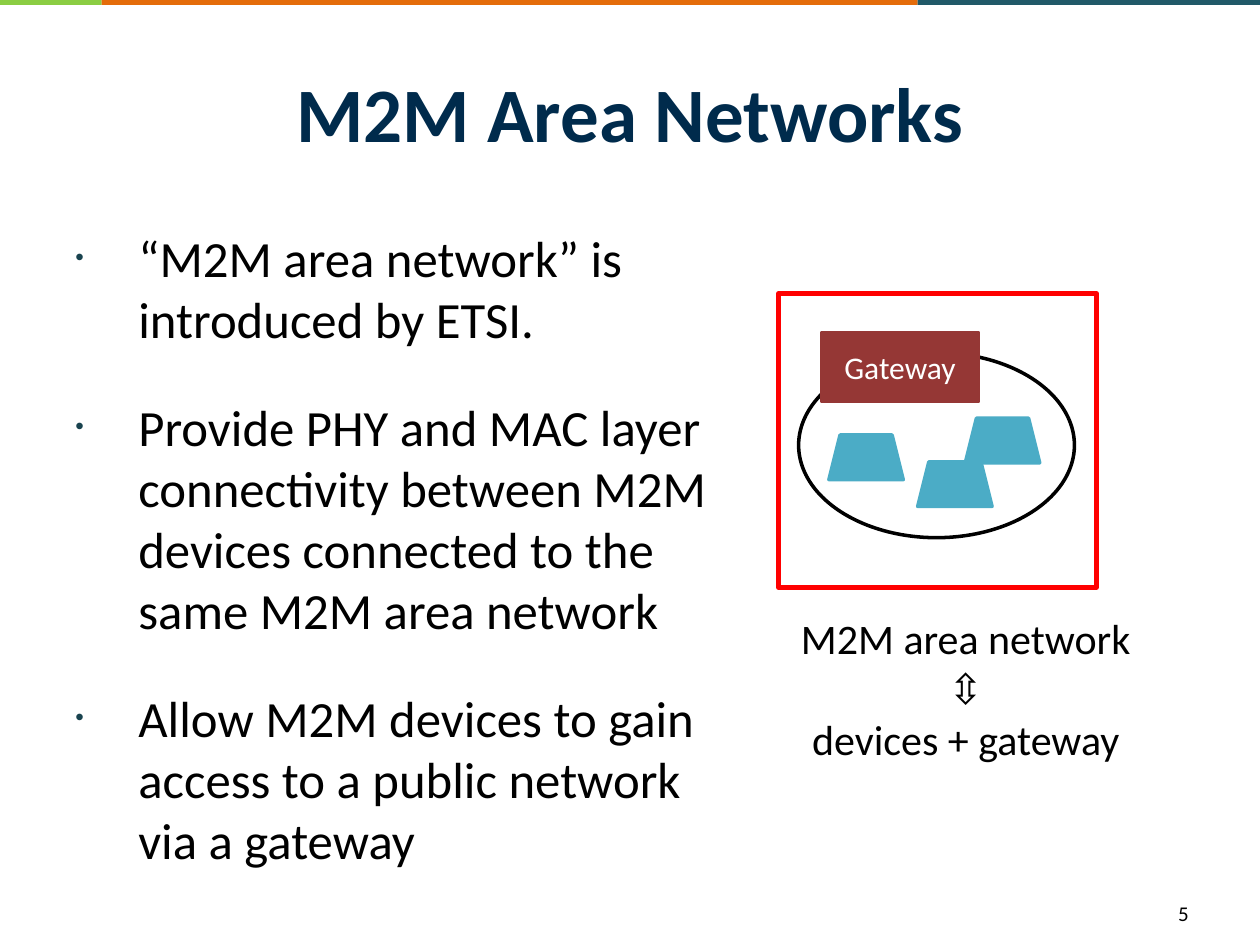
from lxml import etree
from pptx import Presentation
from pptx.dml.color import RGBColor
from pptx.enum.shapes import MSO_SHAPE
from pptx.enum.text import MSO_ANCHOR, PP_ALIGN
from pptx.oxml.ns import qn
from pptx.util import Cm, Pt

RECTANGLE = MSO_SHAPE.RECTANGLE
ELLIPSE = MSO_SHAPE.OVAL
TRAPEZOID = MSO_SHAPE.TRAPEZOID
LEFT = PP_ALIGN.LEFT
CENTER = PP_ALIGN.CENTER
TOP = MSO_ANCHOR.TOP
MIDDLE = MSO_ANCHOR.MIDDLE

BLACK = RGBColor(0x00, 0x00, 0x00)
WHITE = RGBColor(0xFF, 0xFF, 0xFF)
RED = RGBColor(0xFF, 0x00, 0x00)
NAVY = RGBColor(0x00, 0x2B, 0x4C)
GREEN = RGBColor(0x8B, 0xCD, 0x43)
ORANGE = RGBColor(0xE4, 0x6C, 0x0A)
TEAL = RGBColor(0x21, 0x59, 0x68)
BULLET_TEAL = RGBColor(0x19, 0x43, 0x4F)
DEVICE_BLUE = RGBColor(0x4B, 0xAC, 0xC6)
GATEWAY_RED = RGBColor(0x95, 0x37, 0x35)


class SlideBuilder:
    font = "Calibri"

    def __init__(self, slide):
        self.slide = slide

    def add_text_run(self, paragraph, text, size, color=BLACK, bold=False, align=LEFT):
        paragraph.alignment = align
        run = paragraph.add_run()
        run.text = text
        run.font.name = self.font
        run.font.size = Pt(size)
        run.font.bold = bold
        run.font.color.rgb = color

    def title(self, text, box):
        heading = self.slide.shapes.title
        heading.left, heading.top, heading.width, heading.height = map(Cm, box)
        heading.text_frame.vertical_anchor = MIDDLE
        self.add_text_run(heading.text_frame.paragraphs[0], text, 44, NAVY, True, CENTER)

    def shape(self, kind, box, fill=None, line=None, weight=2, text=None):
        figure = self.slide.shapes.add_shape(kind, *map(Cm, box))
        figure.shadow.inherit = False
        if fill is None:
            figure.fill.background()
        else:
            figure.fill.solid()
            figure.fill.fore_color.rgb = fill
        if line is None:
            figure.line.fill.background()
        else:
            figure.line.color.rgb = line
            figure.line.width = Pt(weight)
        if text:
            figure.text_frame.vertical_anchor = MIDDLE
            self.add_text_run(figure.text_frame.paragraphs[0], text, 18, WHITE, align=CENTER)

    def text(self, lines, box, size, align=LEFT):
        frame = self.slide.shapes.add_textbox(*map(Cm, box)).text_frame
        frame.word_wrap = True
        frame.vertical_anchor = TOP
        for index, line in enumerate(lines):
            paragraph = frame.add_paragraph() if index else frame.paragraphs[0]
            self.add_text_run(paragraph, line, size, align=align)
        return frame

    def bullets(self, points, box, size, gap):
        frame = self.text(points, box, size)
        for index, paragraph in enumerate(frame.paragraphs):
            paragraph.space_before = Pt(gap if index else 2)
            properties = paragraph._p.get_or_add_pPr()
            properties.set("marL", str(Cm(1.27)))
            properties.set("indent", str(Cm(-1.27)))
            color = etree.SubElement(properties, qn("a:buClr"))
            etree.SubElement(color, qn("a:srgbClr"), val=str(BULLET_TEAL))
            etree.SubElement(properties, qn("a:buSzPct"), val="48000")
            etree.SubElement(properties, qn("a:buFont"), typeface="Arial")
            etree.SubElement(properties, qn("a:buChar"), char="•")


def main():
    deck = Presentation()
    deck.slide_width, deck.slide_height = Cm(25.4), Cm(19.05)
    page = SlideBuilder(deck.slides.add_slide(deck.slide_layouts[5]))

    band_edges = [0, 2.05, 18.5, 25.4]
    for start, end, color in zip(band_edges, band_edges[1:], (GREEN, ORANGE, TEAL)):
        page.shape(RECTANGLE, (start, 0, end - start, 0.1), color)

    page.title("M2M Area Networks", (1.27, 0.76, 22.86, 2.97))
    page.bullets(
        [
            "“M2M area network” is introduced by ETSI.",
            "Provide PHY and MAC layer connectivity between M2M devices "
            "connected to the same M2M area network",
            "Allow M2M devices to gain access to a public network via a gateway",
        ],
        (1.27, 4.45, 14.02, 12.57), size=29, gap=27,
    )

    page.shape(ELLIPSE, (16.1, 7.11, 5.56, 3.73), WHITE, BLACK)
    for left, top in ((18.5, 9.31), (16.71, 8.77), (19.46, 8.43)):
        page.shape(TRAPEZOID, (left, top, 1.5, 0.9), DEVICE_BLUE, DEVICE_BLUE)
    page.shape(RECTANGLE, (16.57, 6.7, 3.15, 1.4), GATEWAY_RED, GATEWAY_RED,
               text="Gateway")
    page.shape(RECTANGLE, (15.7, 5.92, 6.4, 5.92), line=RED, weight=3)

    page.text(["M2M area network", "⇳", "devices + gateway"],
              (15.04, 12.22, 8.86, 3.33), 24, CENTER)
    page.text(["5"], (23.5, 18.03, 1.63, 1.02), 12)

    deck.save("out.pptx")


if __name__ == "__main__":
    main()
